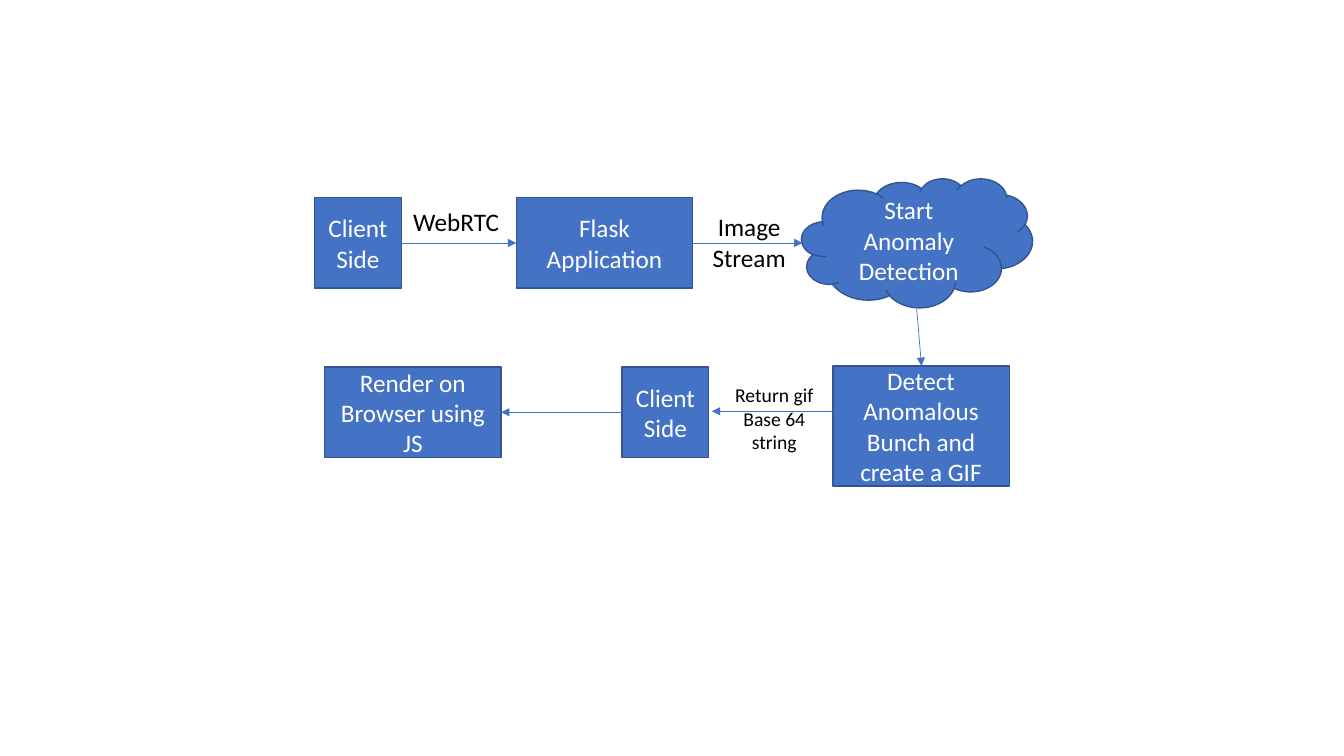
"""Build a slide with the anomaly detection flow from client stream to rendered GIF."""
from dataclasses import dataclass

from lxml import etree
from pptx import Presentation
from pptx.dml.color import RGBColor
from pptx.enum.shapes import MSO_CONNECTOR, MSO_SHAPE
from pptx.enum.text import MSO_ANCHOR, PP_ALIGN
from pptx.oxml.ns import qn
from pptx.util import Inches, Pt

RECTANGLE = MSO_SHAPE.RECTANGLE
CLOUD = MSO_SHAPE.CLOUD
STRAIGHT = MSO_CONNECTOR.STRAIGHT
MIDDLE = MSO_ANCHOR.MIDDLE
TOP = MSO_ANCHOR.TOP
CENTER = PP_ALIGN.CENTER
LEFT = PP_ALIGN.LEFT
BLANK_LAYOUT = 6


@dataclass(frozen=True)
class Theme:
    """Colours, font and sizes of the slide."""
    fill: RGBColor = RGBColor(0x44, 0x72, 0xC4)
    outline: RGBColor = RGBColor(0x32, 0x54, 0x91)
    light: RGBColor = RGBColor(0xFF, 0xFF, 0xFF)
    dark: RGBColor = RGBColor(0x00, 0x00, 0x00)
    font: str = "Calibri"
    body: Pt = Pt(18)
    small: Pt = Pt(14)
    outline_width: Pt = Pt(1)
    arrow_width: Pt = Pt(0.5)


THEME = Theme()

STEPS = [
    (RECTANGLE, "Client\nSide", (3.12, 1.96, 0.86, 0.9)),
    (RECTANGLE, "Flask Application", (5.12, 1.96, 1.75, 0.9)),
    (CLOUD, "Start Anomaly Detection", (7.95, 1.77, 2.29, 1.28)),
    (RECTANGLE, "Detect Anomalous Bunch and create a GIF", (8.26, 3.63, 1.75, 1.19)),
    (RECTANGLE, "Client\nSide", (6.17, 3.64, 0.86, 0.9)),
    (RECTANGLE, "Render on Browser using JS", (3.22, 3.64, 1.75, 0.9)),
]

ARROWS = [
    ((3.98, 2.41), (5.12, 2.41)),
    ((6.87, 2.41), (7.96, 2.41)),
    ((9.09, 3.04), (9.14, 3.63)),
    ((8.26, 4.08), (7.06, 4.08)),
    ((6.17, 4.09), (4.97, 4.09)),
]

LABELS = [
    ("WebRTC", (4, 2, 1.08, 0.4), THEME.body, LEFT),
    ("Image Stream", (6.89, 2.05, 1.08, 0.71), THEME.body, CENTER),
    ("Return gif Base 64 string", (7.08, 3.75, 1.2, 0.81), THEME.small, CENTER),
]


def write_text(shape, text, size, color, alignment, anchor):
    """Put formatted, wrapping text into a shape."""
    frame = shape.text_frame
    frame.text = text
    frame.word_wrap = True
    frame.vertical_anchor = anchor
    for paragraph in frame.paragraphs:
        paragraph.alignment = alignment
        for run in paragraph.runs:
            run.font.name = THEME.font
            run.font.size = size
            run.font.color.rgb = color


def add_step(slide, kind, text, bounds):
    """Add one filled step of the flow."""
    shape = slide.shapes.add_shape(kind, *map(Inches, bounds))
    shape.shadow.inherit = False
    shape.fill.solid()
    shape.fill.fore_color.rgb = THEME.fill
    shape.line.color.rgb = THEME.outline
    shape.line.width = THEME.outline_width
    write_text(shape, text, THEME.body, THEME.light, CENTER, MIDDLE)


def add_arrow(slide, start, end):
    """Add a thin straight arrow between two points."""
    connector = slide.shapes.add_connector(STRAIGHT, *map(Inches, start + end))
    connector.line.color.rgb = THEME.fill
    connector.line.width = THEME.arrow_width
    line = connector.line._get_or_add_ln()
    etree.SubElement(line, qn("a:tailEnd"), type="triangle")
    etree.SubElement(connector._element.spPr, qn("a:effectLst"))


def add_label(slide, text, bounds, size, alignment):
    """Add a caption beside an arrow."""
    label = slide.shapes.add_textbox(*map(Inches, bounds))
    write_text(label, text, size, THEME.dark, alignment, TOP)


def main():
    """Build and save the presentation."""
    presentation = Presentation()
    presentation.slide_width = Inches(13.33)
    presentation.slide_height = Inches(7.5)
    slide = presentation.slides.add_slide(presentation.slide_layouts[BLANK_LAYOUT])
    for step in STEPS:
        add_step(slide, *step)
    for arrow in ARROWS:
        add_arrow(slide, *arrow)
    for label in LABELS:
        add_label(slide, *label)
    presentation.save("out.pptx")


if __name__ == "__main__":
    main()
